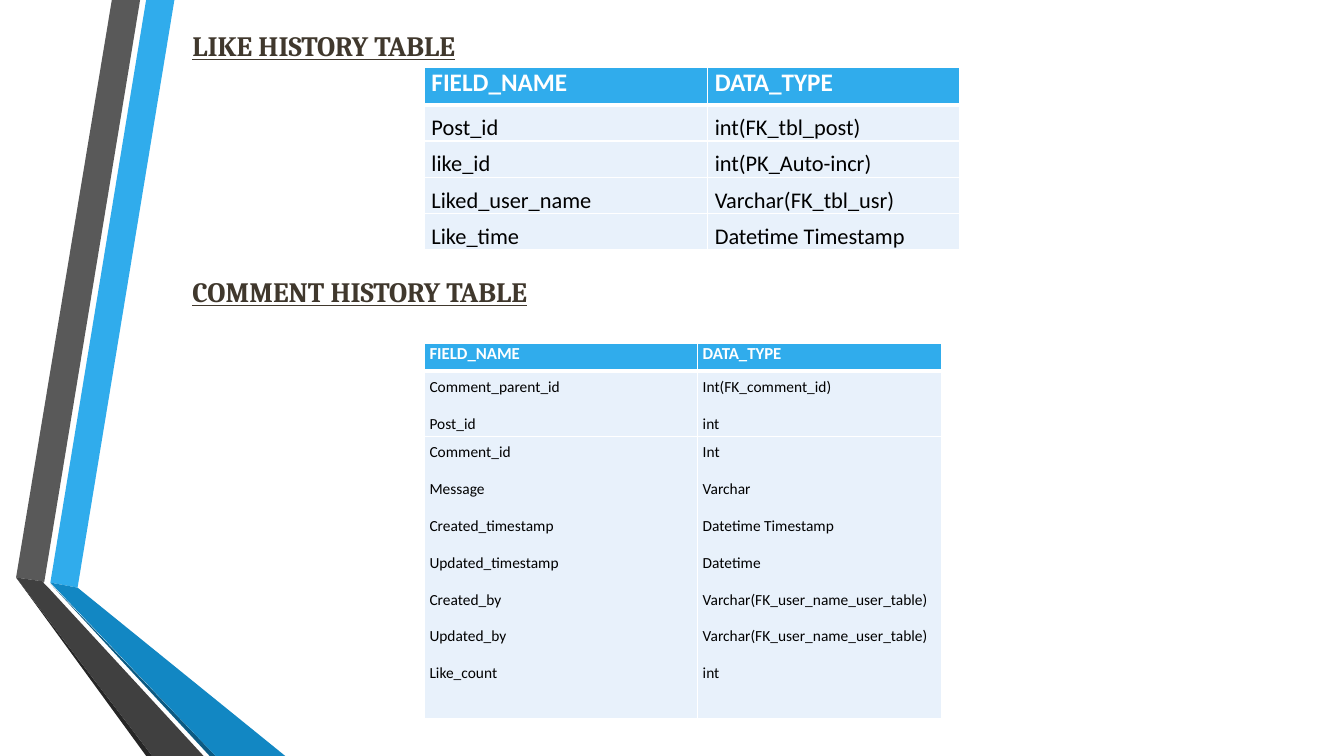
from pptx import Presentation
from pptx.dml.color import RGBColor
from pptx.enum.text import MSO_ANCHOR
from pptx.oxml import parse_xml
from pptx.oxml.ns import nsdecls
from pptx.util import Pt

PX = 9144  # 100 px to the inch
COLORS = {
    "blue": "30ACEC", "deep_blue": "1287C3", "blue_edge": "0C5A82",
    "gray": "595959", "dark_gray": "404040", "gray_edge": "262626",
    "heading": "40382D", "cell": "E8F1FB", "white": "FFFFFF", "black": "000000",
}

# Ribbon outlines, back to front
RIBBONS = [
    ("blue", [(50, 578), (77, 583), (173, 0), (145, 0)]),
    ("gray", [(139, 0), (111, 0), (16, 573), (44, 577)]),
    ("gray_edge", [(16, 573), (145, 750), (151, 750)]),
    ("blue_edge", [(50, 579), (208, 750), (214, 750)]),
    ("deep_blue", [(50, 578), (214, 750), (283, 750), (77, 583)]),
    ("dark_gray", [(202, 750), (48, 583), (43, 578), (44, 577), (16, 573), (151, 750)]),
]

HEADER = ("FIELD_NAME", "DATA_TYPE")
LIKE_ROWS = [
    HEADER,
    ("Post_id", "int(FK_tbl_post)"),
    ("like_id", "int(PK_Auto-incr)"),
    ("Liked_user_name", "Varchar(FK_tbl_usr)"),
    ("Like_time", "Datetime Timestamp"),
]
COMMENT_ROWS = [
    HEADER,
    ("Comment_parent_id\nPost_id", "Int(FK_comment_id)\nint"),
    ("Comment_id\nMessage\nCreated_timestamp\nUpdated_timestamp\n"
     "Created_by\nUpdated_by\nLike_count",
     "Int\nVarchar\nDatetime Timestamp\nDatetime\n"
     "Varchar(FK_user_name_user_table)\nVarchar(FK_user_name_user_table)\nint"),
]


def rgb(name):
    return RGBColor.from_string(COLORS[name])


def style(p, font, size, color, bold):
    for r in p.runs:
        r.font.name = font
        r.font.size = Pt(size)
        r.font.bold = bold
        r.font.color.rgb = rgb(color)


def add_ribbons(s, x, y):
    for color, points in RIBBONS:
        outline = [(x + px, y + py) for px, py in points]
        builder = s.shapes.build_freeform(*outline[0], scale=PX)
        builder.add_line_segments(outline[1:], close=True)
        sp = builder.convert_to_shape()
        sp.shadow.inherit = False
        sp.fill.solid()
        sp.fill.fore_color.rgb = rgb(color)
        sp.line.fill.background()


def add_heading(s, text, x, y, w, h):
    tf = s.shapes.add_textbox(x * PX, y * PX, w * PX, h * PX).text_frame
    tf.word_wrap = True
    tf.vertical_anchor = MSO_ANCHOR.MIDDLE
    p = tf.paragraphs[0]
    p.text = text
    style(p, "Cambria", 20, "heading", True)
    p.runs[0].font.underline = True


def set_borders(cell, bottom):
    tc_pr = cell._tc.get_or_add_tcPr()
    for side, width in (("L", 1), ("R", 1), ("T", 1), ("B", bottom)):
        tc_pr.append(parse_xml(
            f'<a:ln{side} {nsdecls("a")} w="{Pt(width)}"><a:solidFill>'
            f'<a:srgbClr val="{COLORS["white"]}"/></a:solidFill></a:ln{side}>'))


def fill_cell(cell, text, is_header, size, inset):
    cell.margin_left = cell.margin_right = inset * PX
    cell.margin_top = cell.margin_bottom = 0
    set_borders(cell, 3 if is_header else 1)
    cell.fill.solid()
    cell.fill.fore_color.rgb = rgb("blue" if is_header else "cell")
    cell.text_frame.text = text
    for p in cell.text_frame.paragraphs:
        style(p, "Calibri", size, "white" if is_header else "black", is_header)
        if not is_header:
            p.line_spacing = 1.35
            p.space_after = Pt(8)


def add_field_table(s, rows, x, y, widths, heights, header_size, body_size, inset):
    table = s.shapes.add_table(len(rows), len(widths), x * PX, y * PX,
                               sum(widths) * PX, sum(heights) * PX).table
    table.horz_banding = False
    for column, width in zip(table.columns, widths):
        column.width = width * PX
    for i, (row, height) in enumerate(zip(rows, heights)):
        table.rows[i].height = height * PX
        for j, text in enumerate(row):
            size = body_size if i else header_size
            fill_cell(table.cell(i, j), text, i == 0, size, inset)


def main():
    prs = Presentation()
    prs.slide_width, prs.slide_height = 1333 * PX, 750 * PX
    s = prs.slides.add_slide(prs.slide_layouts[6])
    add_ribbons(s, 0, 0)
    # Like history
    add_heading(s, "LIKE HISTORY TABLE", 181, 23, 327, 44)
    add_field_table(s, LIKE_ROWS, 421, 67, (281, 250), [37] + [36] * 4, 18, 16, 7)
    # Comment history
    add_heading(s, "COMMENT HISTORY TABLE", 181, 267, 419, 44)
    add_field_table(s, COMMENT_ROWS, 421, 341, (271, 242), (27, 65, 280), 12, 11, 5)
    prs.save("out.pptx")


if __name__ == "__main__":
    main()
